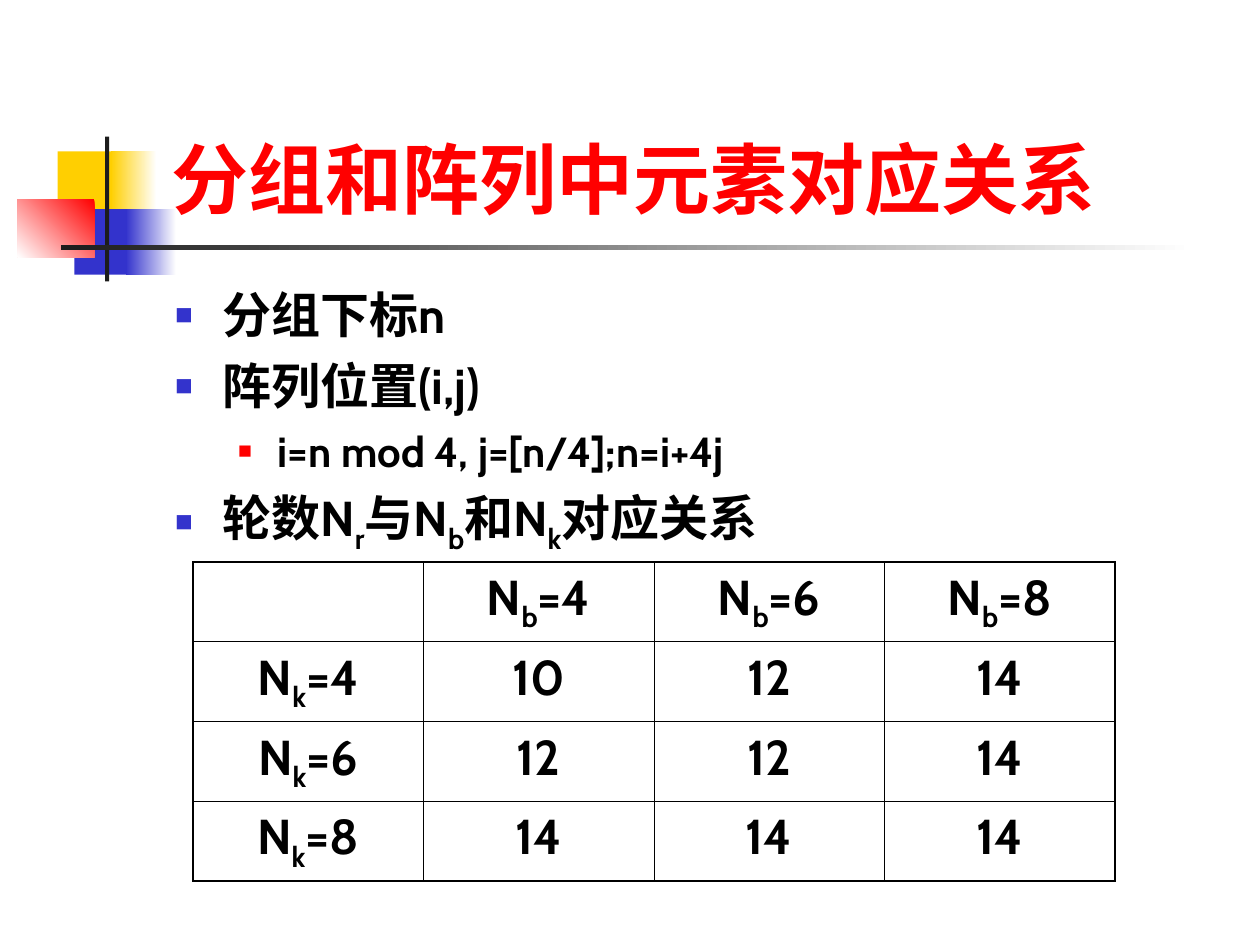
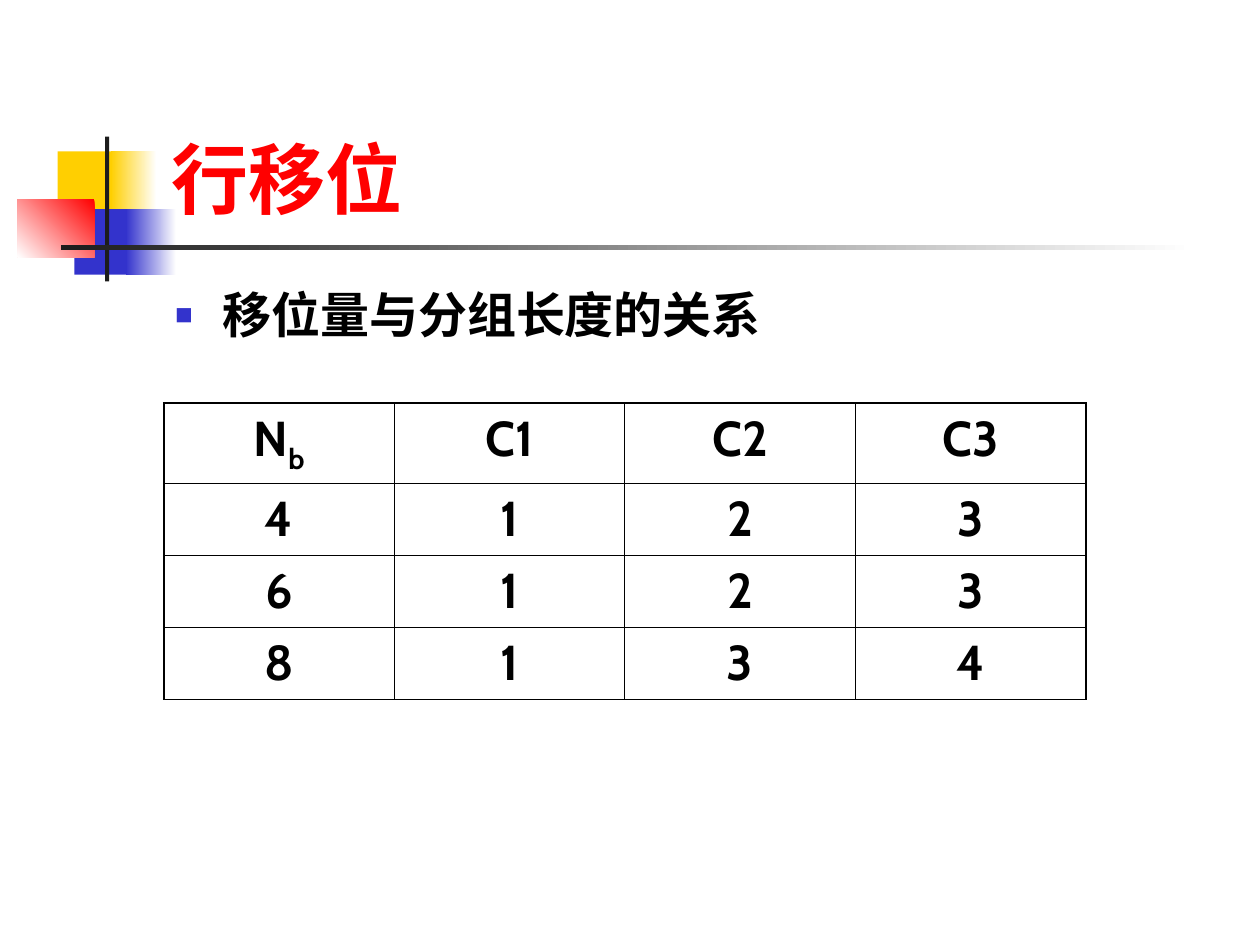
from dataclasses import dataclass

from lxml import etree
from pptx import Presentation
from pptx.dml.color import RGBColor
from pptx.enum import shapes, text
from pptx.oxml import ns
from pptx.util import Pt


@dataclass(frozen=True)
class Theme:
    font: str = "Cabin"
    red: str = "FF0000"
    gold: str = "FFCF01"
    blue: str = "3333CC"
    dark: str = "1C1C1C"
    white: str = "FFFFFF"
    ink: str = "000000"
    title: int = 44
    body: int = 28
    sub: int = 24
    edge: float = 1.08
    grid: float = 0.45


T = Theme()

# Per list level: indent, hang, space before, text size, bullet colour, bullet %
LEVELS = [
    (27, 27, 7, T.body, T.blue, 60),
    (58.5, 22.5, 6, T.sub, T.red, 55),
]


def rgb(code):
    return RGBColor.from_string(code)


def box_pt(box):
    return [Pt(v) for v in box]


def place(shape, box):
    shape.left, shape.top, shape.width, shape.height = box_pt(box)


def node(parent, tag, **attrs):
    return etree.SubElement(parent, ns.qn("a:" + tag), attrs)


# Text: parts between bars alternate between plain and subscript
def write(para, words, size, color):
    for i, part in enumerate(words.split("|")):
        if not part:
            continue
        run = para.add_run()
        run.text = part
        font = run.font
        font.name, font.size, font.bold = T.font, Pt(size), True
        font.color.rgb = rgb(color)
        if i % 2:
            font._element.set("baseline", "-25000")


# Corner squares and fading rule
def mark(slide, box):
    left, top = box
    parts = [
        (23, 8.5, 34.5, 37.5, T.gold, None, 0),
        (53.4, 8.5, 26, 37.5, T.white, T.gold, 180),
        (32.5, 41.5, 33, 37.5, T.blue, None, 0),
        (62, 41.5, 28.8, 37.5, T.white, T.blue, 180),
        (0, 36, 44, 33, T.red, T.white, 225),
        (50, 0, 2.4, 82.8, T.dark, None, 0),
        (24.6, 62.2, 648, 2.6, T.white, T.dark, 180),
    ]
    for x, y, w, h, start, end, angle in parts:
        rect = slide.shapes.add_shape(
            shapes.MSO_SHAPE.RECTANGLE, *box_pt((left + x, top + y, w, h)))
        rect.shadow.inherit = False
        rect.line.fill.background()
        if end is None:
            rect.fill.solid()
            rect.fill.fore_color.rgb = rgb(start)
            continue
        rect.fill.gradient()
        rect.fill.gradient_angle = angle
        for stop, color in zip(rect.fill.gradient_stops, (start, end)):
            stop.color.rgb = rgb(color)


# Title region
def head(slide, box, words):
    shape = slide.shapes.title
    place(shape, box)
    frame = shape.text_frame
    frame.auto_size = text.MSO_AUTO_SIZE.NONE
    frame.vertical_anchor = text.MSO_ANCHOR.BOTTOM
    para = frame.paragraphs[0]
    para.alignment = text.PP_ALIGN.LEFT
    write(para, words, T.title, T.red)


# Bulleted list region
def bullets(slide, box, items):
    shape = slide.placeholders[1]
    place(shape, box)
    frame = shape.text_frame
    frame.auto_size = text.MSO_AUTO_SIZE.NONE
    for i, (level, words) in enumerate(items):
        para = frame.add_paragraph() if i else frame.paragraphs[0]
        indent, hang, gap, size, color, scale = LEVELS[level]
        para.level = level
        para.space_before = Pt(gap if i else 0)
        props = para._p.get_or_add_pPr()
        props.set("marL", str(Pt(indent)))
        props.set("indent", str(-Pt(hang)))
        node(node(props, "buClr"), "srgbClr", val=color)
        node(props, "buSzPct", val=str(scale * 1000))
        node(props, "buChar", char="■")
        write(para, words, size, T.ink)


# Cell borders: heavier on the outer edge
def border(cell, outer):
    props = cell._tc.get_or_add_tcPr()
    for side in "LRTB":
        width = T.edge if side in outer else T.grid
        line = node(props, "ln" + side, w=str(Pt(width)))
        node(node(line, "solidFill"), "srgbClr", val=T.ink)


# Table region
def grid(slide, spot, width, heights, rows):
    count, span = len(rows), len(rows[0])
    table = slide.shapes.add_table(
        count, span, *box_pt((*spot, width, sum(heights)))).table
    table.first_row = table.horz_banding = False
    for col in table.columns:
        col.width = Pt(width / span)
    for r, (height, row) in enumerate(zip(heights, rows)):
        table.rows[r].height = Pt(height)
        for c, words in enumerate(row):
            cell = table.cell(r, c)
            edges = {"L": c == 0, "R": c == span - 1,
                     "T": r == 0, "B": r == count - 1}
            border(cell, [side for side, on in edges.items() if on])
            cell.fill.background()
            para = cell.text_frame.paragraphs[0]
            para.alignment = text.PP_ALIGN.CENTER
            write(para, words, T.body, T.ink)


# Slide with a title, a list and a table
def page(deck, title, items, area, spot, heights, rows):
    slide = deck.slides.add_slide(deck.slide_layouts[1])
    mark(slide, (10, 78))
    for holder in list(slide.placeholders):
        slide.shapes._spTree.append(holder._element)  # text above the squares
    head(slide, (90.7, 16.6, 613.4, 115.2), title)
    bullets(slide, (92.9, 159.1, *area), items)
    grid(slide, spot, 527, heights, rows)


def main():
    deck = Presentation()
    deck.slide_width, deck.slide_height = Pt(720), Pt(540)

    sizes = (4, 6, 8)
    rounds = [[str(max(nb, nk) + 6) for nb in sizes] for nk in sizes]
    page(
        deck, "分组和阵列中元素对应关系",
        [(0, "分组下标n"),
         (0, "阵列位置(i,j)"),
         (1, "i=n mod 4, j=[n/4];n=i+4j"),
         (0, "轮数N|r|与N|b|和N|k|对应关系")],
        (545, 173.5), (110.2, 321.1), [45.6] * 4,
        [["", *(f"N|b|={nb}" for nb in sizes)],
         *([f"N|k|={nk}", *row] for nk, row in zip(sizes, rounds))])

    page(
        deck, "行移位", [(0, "移位量与分组长度的关系")],
        (510.5, 60.5), (93.6, 230.4), [45.6] + [41.3] * 3,
        [["N|b|", "C1", "C2", "C3"], *("4123", "6123", "8134")])

    deck.save("out.pptx")


if __name__ == "__main__":
    main()
